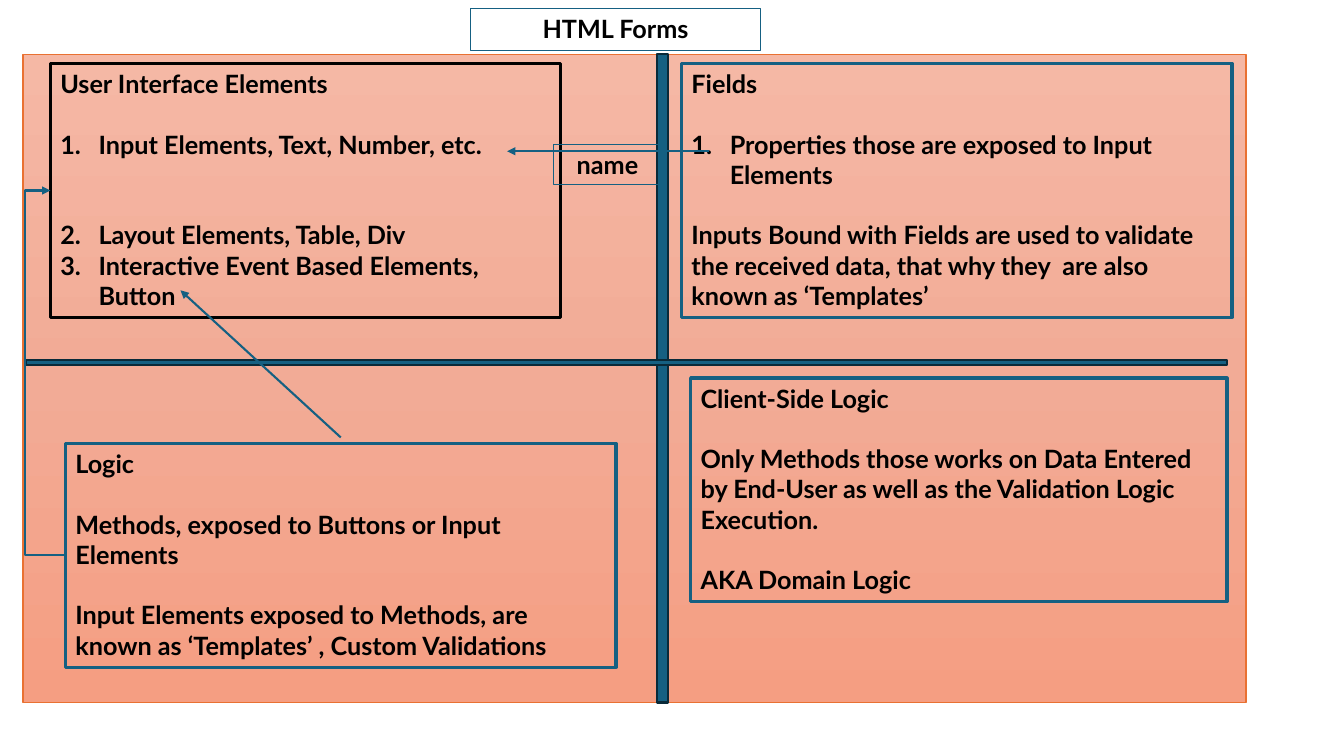
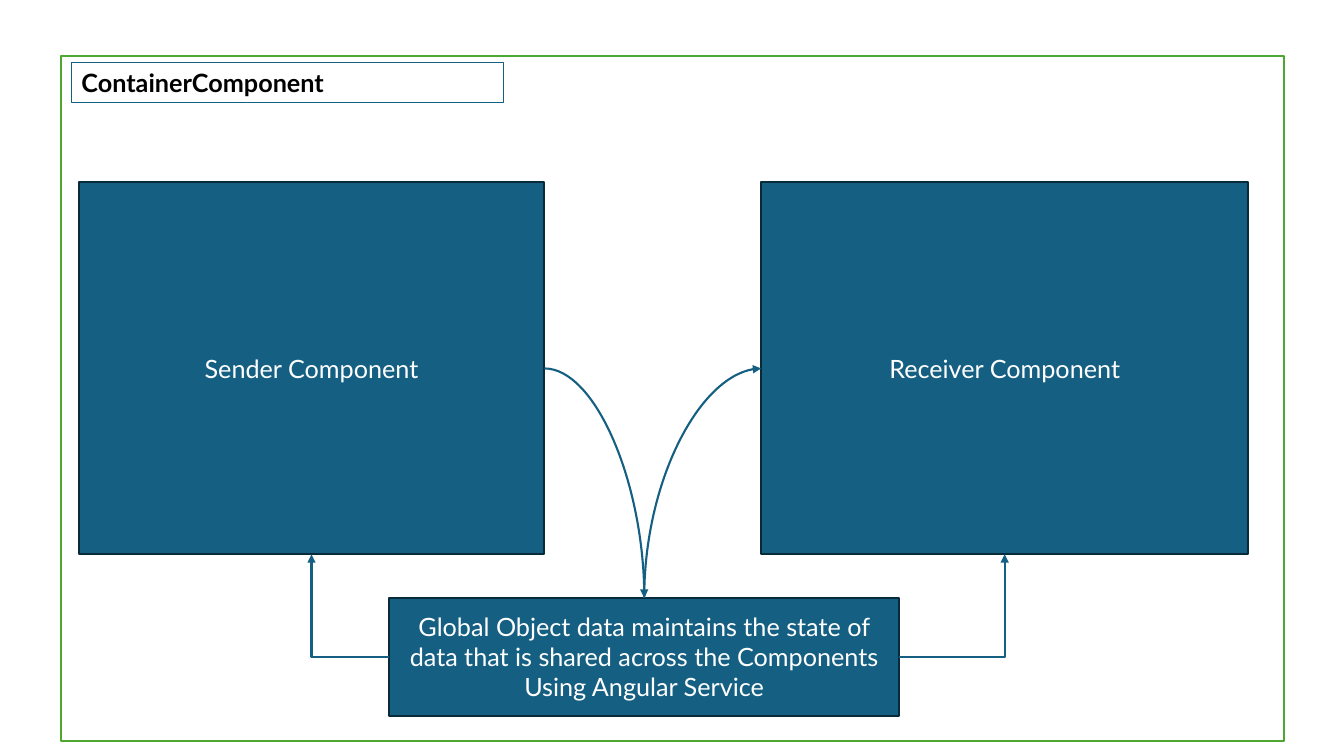
from copy import deepcopy

from lxml import etree
from pptx import Presentation
from pptx.dml.color import RGBColor
from pptx.enum.shapes import MSO_CONNECTOR, MSO_SHAPE
from pptx.enum.text import MSO_ANCHOR, PP_ALIGN
from pptx.oxml.ns import qn
from pptx.util import Inches, Pt

RECT = MSO_SHAPE.RECTANGLE
STRAIGHT, ELBOW, CURVE = MSO_CONNECTOR.STRAIGHT, MSO_CONNECTOR.ELBOW, MSO_CONNECTOR.CURVE
LEFT, CENTER = PP_ALIGN.LEFT, PP_ALIGN.CENTER
TOP_ANCHOR, MIDDLE = MSO_ANCHOR.TOP, MSO_ANCHOR.MIDDLE
TOP, WEST, BOTTOM, EAST = range(4)  # connection sites of a rectangle

COLORS = {
    "blue": "156082", "navy": "092A39", "black": "000000", "white": "FFFFFF",
    "orange": "E97132", "green": "4EA72E",
    "peach_top": "F5B8A5", "peach_mid": "F2AB96", "peach_low": "F59E82",
}
FONT, SIZE = "Lato", 18
LINE = 21.6  # height of one text line in points
INDENT = Inches(0.38)


def rgb(name):
    return RGBColor.from_string(COLORS[name])


# Shared parts
def add_box(s, x, y, w, h, line, width, fill=None):
    sp = s.shapes.add_shape(RECT, Inches(x), Inches(y), Inches(w), Inches(h))
    sp.shadow.inherit = False
    if fill:
        sp.fill.solid()
        sp.fill.fore_color.rgb = rgb(fill)
    else:
        sp.fill.background()
    sp.line.color.rgb = rgb(line)
    sp.line.width = Pt(width)
    return sp


def number(p):
    pPr = p._p.get_or_add_pPr()
    pPr.set("marL", str(INDENT))
    pPr.set("indent", str(-INDENT))
    etree.SubElement(pPr, qn("a:buFont"), typeface="+mj-lt")
    etree.SubElement(pPr, qn("a:buAutoNum"), type="arabicPeriod")


def write(sp, paras, color="black", bold=True, align=LEFT, anchor=TOP_ANCHOR):
    """Each paragraph is (text, lines of space before, numbered)."""
    tf = sp.text_frame
    tf.word_wrap = True
    tf.vertical_anchor = anchor
    for i, (text, gap, numbered) in enumerate(paras):
        p = tf.add_paragraph() if i else tf.paragraphs[0]
        p.alignment = align
        if gap:
            p.space_before = Pt(gap * LINE)
        if numbered:
            number(p)
        r = p.add_run()
        r.text = text
        r.font.name, r.font.size, r.font.bold = FONT, Pt(SIZE), bold
        r.font.color.rgb = rgb(color)


def add_label(s, x, y, w, h, text, align=CENTER):
    write(add_box(s, x, y, w, h, "blue", 0.75), [(text, 0, False)], align=align)


def add_panel(s, x, y, w, h, paras, line="blue"):
    sp = add_box(s, x, y, w, h, line, 2.25)
    write(sp, paras)
    return sp


def add_component(s, x, y, w, h, *lines):
    sp = add_box(s, x, y, w, h, "navy", 1.5, "blue")
    write(sp, [(text, 0, False) for text in lines], "white", False, CENTER, MIDDLE)
    return sp


def add_arrow(s, kind, start=(0, 0), end=(0, 0), arrow="tailEnd"):
    c = s.shapes.add_connector(kind, *map(Inches, start + end))
    c.line.color.rgb = rgb("blue")
    c.line.width = Pt(1.5)
    etree.SubElement(c.line._get_or_add_ln(), qn("a:" + arrow), type="triangle")
    etree.SubElement(c._element.spPr, qn("a:effectLst"))
    return c


def join(s, kind, source, source_site, target, target_site, preset,
         adjust=None, arrow="tailEnd"):
    c = add_arrow(s, kind, arrow=arrow)
    c.begin_connect(source, source_site)
    c.end_connect(target, target_site)
    geom = c._element.spPr.find(qn("a:prstGeom"))
    geom.set("prst", preset)
    if adjust:
        guides = geom.find(qn("a:avLst"))
        if guides is None:
            guides = etree.SubElement(geom, qn("a:avLst"))
        etree.SubElement(guides, qn("a:gd"), name="adj1", fmla=f"val {adjust}")


# Slide 1: four quadrants of a form
def add_quadrants(s, x, y, w, h):
    sp = add_box(s, x, y, w, h, "orange", 1)
    sp.fill.gradient()
    sp.fill.gradient_angle = 270
    stops = sp.fill.gradient_stops
    stops[0].position, stops[1].position = 0, 1
    stops[0].color.rgb = rgb("peach_mid")
    stops[1].color.rgb = rgb("peach_low")
    gs_list = sp._element.spPr.find(".//" + qn("a:gsLst"))
    gs_list.insert(1, deepcopy(gs_list[0]))
    stops = sp.fill.gradient_stops
    stops[0].color.rgb = rgb("peach_top")
    stops[1].position = 0.5
    # Dividing bars
    add_box(s, x + 6.29, y, 0.11, h, "navy", 1.5, "blue")
    add_box(s, x + 0.03, y + 3.03, w - 0.22, 0.05, "navy", 1.5, "blue")


def forms_slide(s):
    add_quadrants(s, 0.23, 0.54, 12.13, 6.43)
    elements = add_panel(s, 0.5, 0.63, 5.06, 2.52, [
        ("User Interface Elements", 0, False),
        ("Input Elements, Text, Number, etc.", 1, True),
        ("Layout Elements, Table, Div", 2, True),
        ("Interactive Event Based Elements, Button", 0, True),
    ], line="black")
    add_panel(s, 6.76, 0.63, 5.46, 2.52, [
        ("Fields", 0, False),
        ("Properties those are exposed to Input Elements", 1, True),
        ("Inputs Bound with Fields are used to validate the received data, "
         "that why they  are also known as ‘Templates’", 1, False),
    ])
    logic = add_panel(s, 0.65, 4.4, 5.46, 2.22, [
        ("Logic", 0, False),
        ("Methods, exposed to Buttons or Input Elements", 1, False),
        ("Input Elements exposed to Methods, are known as ‘Templates’ , "
         "Custom Validations", 1, False),
    ])
    add_panel(s, 6.85, 3.75, 5.32, 2.22, [
        ("Client-Side Logic", 0, False),
        ("Only Methods those works on Data Entered by End-User as well as "
         "the Validation Logic Execution.", 1, False),
        ("AKA Domain Logic", 1, False),
    ])
    # Arrows and labels
    add_arrow(s, STRAIGHT, (7.03, 1.5), (5.03, 1.5))
    add_arrow(s, STRAIGHT, (3.38, 4.34), (1.79, 2.88))
    join(s, ELBOW, logic, WEST, elements, WEST, "bentConnector3", adjust=265600)
    add_label(s, 4.67, 0.08, 2.87, 0.42, "HTML Forms")
    add_label(s, 5.49, 1.43, 1.07, 0.4, "name")


# Slide 2: components sharing a service
def container_slide(s, x=0.61, y=0.56):
    add_box(s, x, y, 12.13, 6.79, "green", 1.5, "white")
    add_label(s, x + 0.1, y + 0.06, 4.28, 0.4, "ContainerComponent", LEFT)
    sender = add_component(s, x + 0.17, y + 1.25, 4.62, 3.69, "Sender Component")
    receiver = add_component(s, x + 6.94, y + 1.25, 4.83, 3.69, "Receiver Component")
    shared = add_component(
        s, x + 3.25, y + 5.37, 5.06, 1.17,
        "Global Object data maintains the state of data that is shared "
        "across the Components",
        "Using Angular Service")
    # Elbows from the shared object, curves through it
    for site, component in ((WEST, sender), (EAST, receiver)):
        join(s, ELBOW, shared, site, component, BOTTOM, "bentConnector2")
    for component, site, arrow in ((sender, EAST, "tailEnd"), (receiver, WEST, "headEnd")):
        join(s, CURVE, component, site, shared, TOP, "curvedConnector2", arrow=arrow)


def main():
    prs = Presentation()
    prs.slide_width, prs.slide_height = Inches(13.33), Inches(7.5)
    for build in (forms_slide, container_slide):
        build(prs.slides.add_slide(prs.slide_layouts[6]))
    prs.save("out.pptx")


if __name__ == "__main__":
    main()
